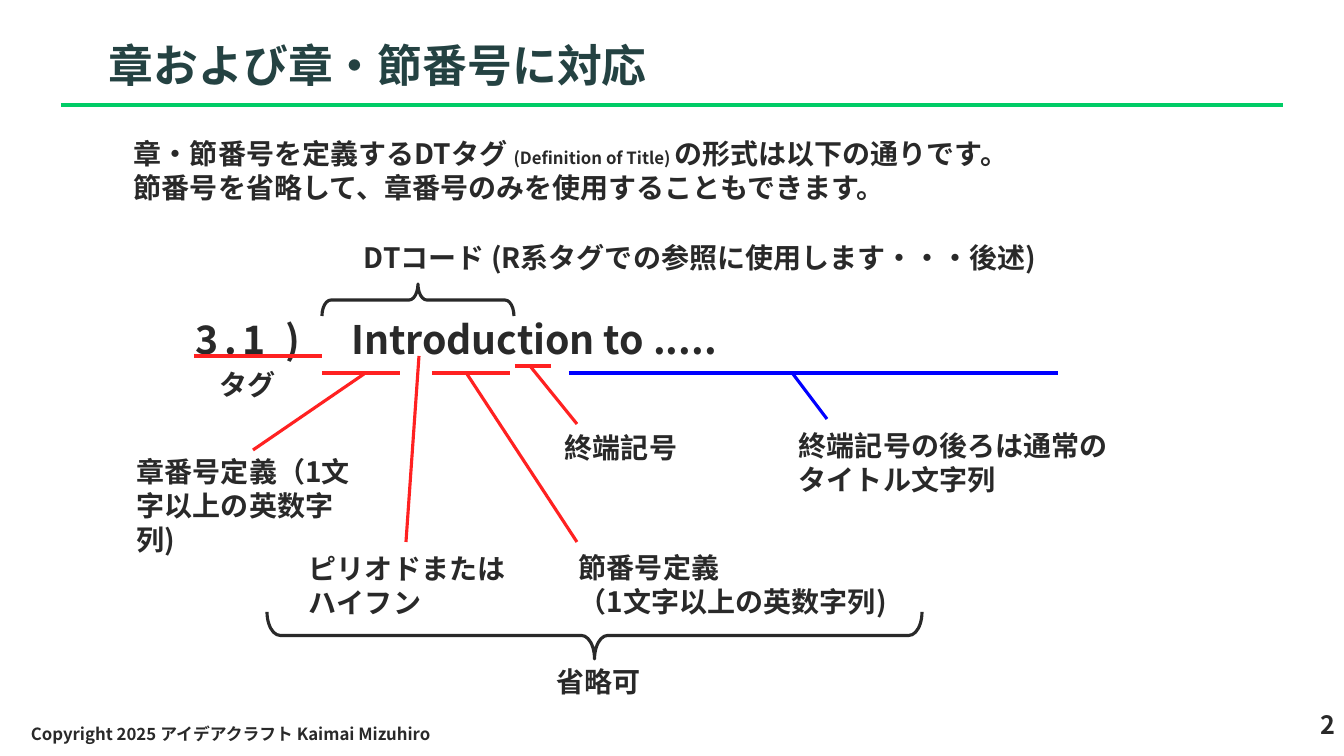
"""Build the slide on chapter and section number tags."""
from lxml.etree import SubElement
from pptx import Presentation
from pptx.dml.color import RGBColor
from pptx.enum.shapes import MSO_CONNECTOR as CONN, MSO_SHAPE as SHAPE
from pptx.enum.text import MSO_ANCHOR as ANCHOR, PP_ALIGN as ALIGN
from pptx.oxml.ns import qn
from pptx.util import Emu, Pt

SCALE = 914400 / 100.8
FACE = "Noto Sans CJK JP"
INK = RGBColor(0x29, 0x29, 0x29)
TEAL = RGBColor(0x24, 0x42, 0x42)
GREEN = RGBColor(0x00, 0xCC, 0x66)
RED = RGBColor(0xFF, 0x21, 0x21)
BLUE = RGBColor(0x00, 0x00, 0xFF)

LABELS = [
    ((210, 363, 81, 44), ["タグ"]),
    ((299, 547, 226, 78), ["ピリオドまたはハイフン"]),
    ((127, 450, 252, 78), ["章番号定義（1文字以上の英数字列)"]),
    ((569, 546, 355, 78), ["節番号定義", "（1文字以上の英数字列)"]),
    ((555, 426, 169, 44), ["終端記号"]),
    ((547, 660, 123, 44), ["省略可"]),
    ((789, 424, 334, 78), ["終端記号の後ろは通常のタイトル文字列"]),
    ((354, 236, 882, 44), ["DTコード (R系タグでの参照に使用します・・・後述)"]),
]
LINES = [
    (GREEN, (61, 105, 1283, 105)),
    (RED, (194, 356, 322, 356)),
    (RED, (322, 373, 400, 373)),
    (RED, (432, 373, 510, 373)),
    (RED, (515, 366, 551, 366)),
    (RED, (406, 542, 419, 356)),
    (RED, (253, 450, 364, 374)),
    (RED, (577, 542, 467, 374)),
    (RED, (577, 424, 530, 366)),
    (BLUE, (569, 373, 1058, 373)),
    (BLUE, (827, 419, 793, 374)),
]


def px(*vals):
    """Turn pixel lengths into EMU."""
    return [Emu(round(v * SCALE)) for v in vals]


def add_run(para, text, size, color, gap=0):
    """Add one bold run, with optional letter spacing in points."""
    run = para.add_run()
    run.text = text
    look = {"name": FACE, "size": Pt(size), "bold": True}
    for key, val in look.items():
        setattr(run.font, key, val)
    run.font.color.rgb = color
    props = run.font._element
    SubElement(props, qn("a:ea")).set("typeface", FACE)
    if gap:
        props.set("spc", str(gap * 100))


def add_text(slide, box, paras, size=20, color=INK,
             align=ALIGN.LEFT, anchor=ANCHOR.TOP):
    """Add a text box; a paragraph is a string or a list of runs."""
    frame = slide.shapes.add_textbox(*px(*box)).text_frame
    look = {"word_wrap": True, "vertical_anchor": anchor}
    for key, val in look.items():
        setattr(frame, key, val)
    for i, item in enumerate(paras):
        para = frame.add_paragraph() if i else frame.paragraphs[0]
        para.alignment = align
        runs = [(item, size)] if isinstance(item, str) else item
        for text, pts, *gap in runs:
            add_run(para, text, pts, color, *gap)


def add_line(slide, color, ends):
    """Add a straight line without shadow."""
    line = slide.shapes.add_connector(CONN.STRAIGHT, *px(*ends))
    line.line.color.rgb = color
    line.line.width = Pt(2.25)
    SubElement(line._element.spPr, qn("a:effectLst"))


def add_brace(slide, left, top, width, height, turn):
    """Add a brace turned to lie flat in the given box."""
    x = left + (width - height) / 2
    y = top + (height - width) / 2
    brace = slide.shapes.add_shape(SHAPE.RIGHT_BRACE, *px(x, y, height, width))
    brace.rotation = turn
    brace.adjustments[0] = 0.28
    brace.adjustments[1] = 0.5
    brace.shadow.inherit = False
    brace.fill.background()
    brace.line.color.rgb = INK
    brace.line.width = Pt(2.25)


def main():
    """Compose the slide and save it."""
    deck = Presentation()
    deck.slide_width, deck.slide_height = px(1344, 756)
    slide = deck.slides.add_slide(deck.slide_layouts[6])
    add_text(slide, (99, 29, 1208, 72), ["章および章・節番号に対応"],
             32, TEAL, anchor=ANCHOR.MIDDLE)
    add_text(slide, (1180, 704, 165, 50), ["2"], 18, align=ALIGN.RIGHT)
    add_text(slide, (21, 714, 611, 40),
             ["Copyright 2025 アイデアクラフト Kaimai Mizuhiro"],
             12, anchor=ANCHOR.MIDDLE)
    add_text(slide, (124, 132, 1055, 78), [
        [("章・節番号を定義するDTタグ ", 20), ("(Definition of Title) ", 12),
         ("の形式は以下の通りです。", 20)],
        "節番号を省略して、章番号のみを使用することもできます。"])
    add_text(slide, (186, 310, 1006, 57),
             [[("3.1 )　", 28, 4), ("Introduction to .....", 28)]])
    for box, paras in LABELS:
        add_text(slide, box, paras)
    for color, ends in LINES:
        add_line(slide, color, ends)
    add_brace(slide, 267, 612, 655, 47, 90)
    add_brace(slide, 322, 284, 192, 32, 270)
    deck.save("out.pptx")


if __name__ == "__main__":
    main()
